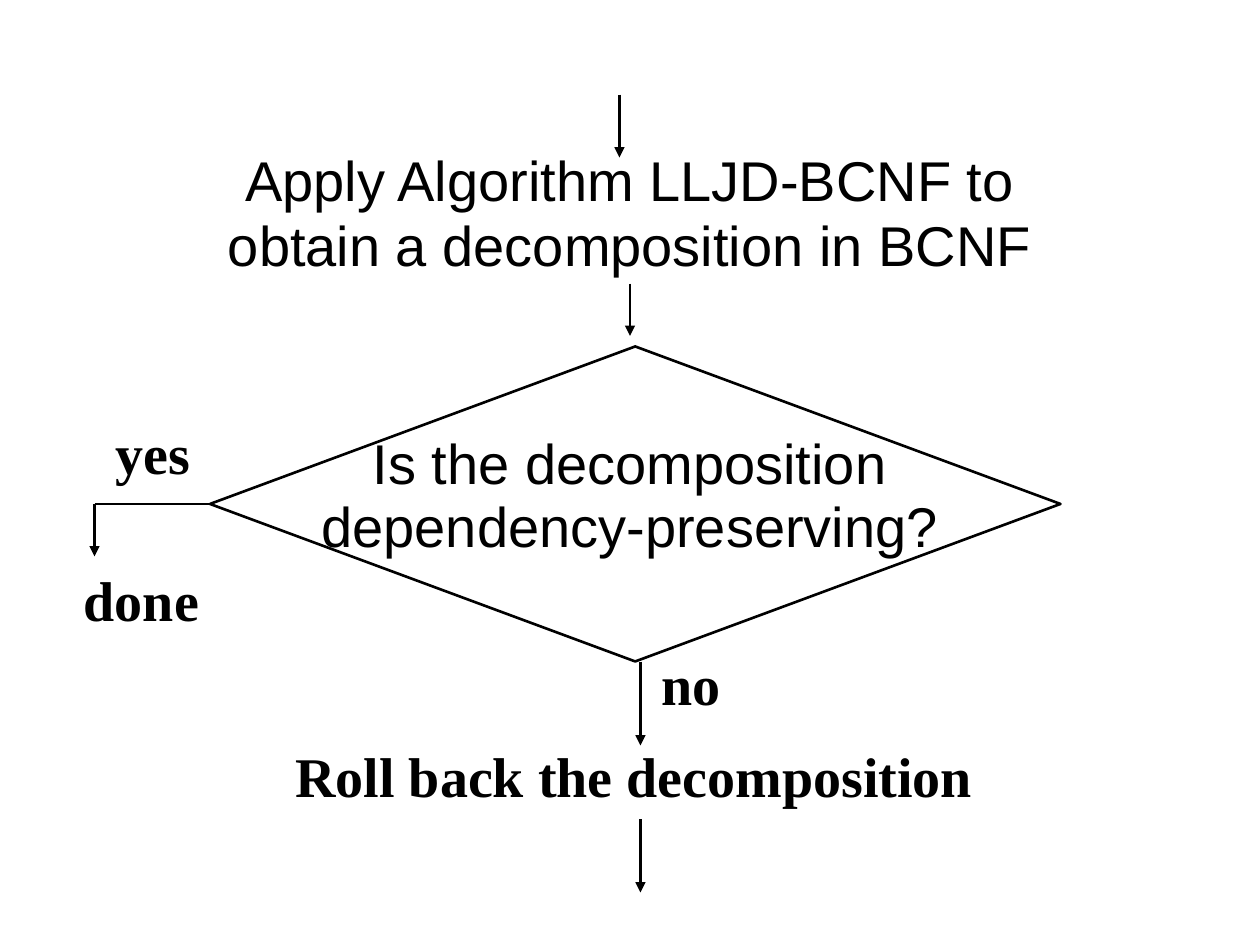
"""Build a flowchart slide for dependency-preserving BCNF decomposition."""
from dataclasses import dataclass

from lxml import etree
from pptx import Presentation
from pptx.dml.color import RGBColor
from pptx.enum.shapes import MSO_CONNECTOR, MSO_SHAPE
from pptx.enum.text import PP_ALIGN
from pptx.oxml.ns import qn
from pptx.util import Inches, Pt

DIAMOND = MSO_SHAPE.DIAMOND
STRAIGHT = MSO_CONNECTOR.STRAIGHT
LEFT, CENTER = PP_ALIGN.LEFT, PP_ALIGN.CENTER


@dataclass(frozen=True)
class Theme:
    ink: RGBColor = RGBColor(0, 0, 0)
    paper: RGBColor = RGBColor(255, 255, 255)
    step_font: str = "Arial"
    label_font: str = "Times New Roman"
    text_size: Pt = Pt(32)
    line_width: Pt = Pt(1.5)


THEME = Theme()
WIDTH, HEIGHT = Inches(10), Inches(7.5)
COLUMNS, ROWS = 120, 90

DECISION = (20, 33, 81, 30)
STEPS = [
    (("Apply Algorithm LLJD-BCNF to", "obtain a decomposition in BCNF"), (9, 14.3, 102, 12.3), 0.96),
    (("Is the decomposition", "dependency-preserving?"), (9, 41.4, 102, 12.3), 0.93),
]
LABELS = [
    ("yes", (9.8, 39.3, 10, 7.7), LEFT),
    ("done", (6.8, 53.3, 15, 7.7), LEFT),
    ("no", (61.8, 61.3, 9, 7.7), LEFT),
    ("Roll back the decomposition", (25, 70, 70.8, 7.7), CENTER),
]
LINES = [
    ((59, 9), (59, 15), True),
    ((60, 27), (60, 32), True),
    ((9, 48), (20, 48), False),
    ((9, 48), (9, 53), True),
    ((61, 63), (61, 71), True),
    ((61, 78), (61, 85), True),
]


def place(*cells):
    """Turn alternating column and row counts into slide lengths."""
    units = (WIDTH / COLUMNS, HEIGHT / ROWS)
    return [round(cell * units[index % 2]) for index, cell in enumerate(cells)]


def draw_outline(shape):
    """Give a shape or connector the common stroke."""
    shape.line.color.rgb = THEME.ink
    shape.line.width = THEME.line_width


def add_decision(slide):
    """Add the hollow decision diamond."""
    shape = slide.shapes.add_shape(DIAMOND, *place(*DECISION))
    shape.shadow.inherit = False
    shape.fill.background()
    draw_outline(shape)


def add_line(slide, start, end, has_arrow):
    """Add a flow line, with an arrowhead when it leads to a step."""
    connector = slide.shapes.add_connector(STRAIGHT, *place(*start, *end))
    draw_outline(connector)
    if has_arrow:
        etree.SubElement(connector.line._get_or_add_ln(), qn("a:tailEnd"), type="triangle")
    etree.SubElement(connector._element.spPr, qn("a:effectLst"))


def add_text(slide, lines, cells, font_name, alignment, spacing=1.0, is_label=False):
    """Add a text box with one paragraph per line."""
    frame = slide.shapes.add_textbox(*place(*cells)).text_frame
    frame.word_wrap = not is_label
    if not is_label:
        frame.margin_top = frame.margin_bottom = 0
    for index, line in enumerate(lines):
        paragraph = frame.add_paragraph() if index else frame.paragraphs[0]
        paragraph.alignment = alignment
        paragraph.line_spacing = spacing
        run = paragraph.add_run()
        run.text = line
        run.font.name = font_name
        run.font.size = THEME.text_size
        run.font.bold = is_label
        run.font.color.rgb = THEME.ink


def main():
    """Assemble and save the slide."""
    presentation = Presentation()
    presentation.slide_width, presentation.slide_height = WIDTH, HEIGHT
    slide = presentation.slides.add_slide(presentation.slide_layouts[6])
    slide.background.fill.solid()
    slide.background.fill.fore_color.rgb = THEME.paper
    add_decision(slide)
    for lines, cells, spacing in STEPS:
        add_text(slide, lines, cells, THEME.step_font, CENTER, spacing)
    for start, end, has_arrow in LINES:
        add_line(slide, start, end, has_arrow)
    for label, cells, alignment in LABELS:
        add_text(slide, [label], cells, THEME.label_font, alignment, is_label=True)
    presentation.save("out.pptx")


if __name__ == "__main__":
    main()
